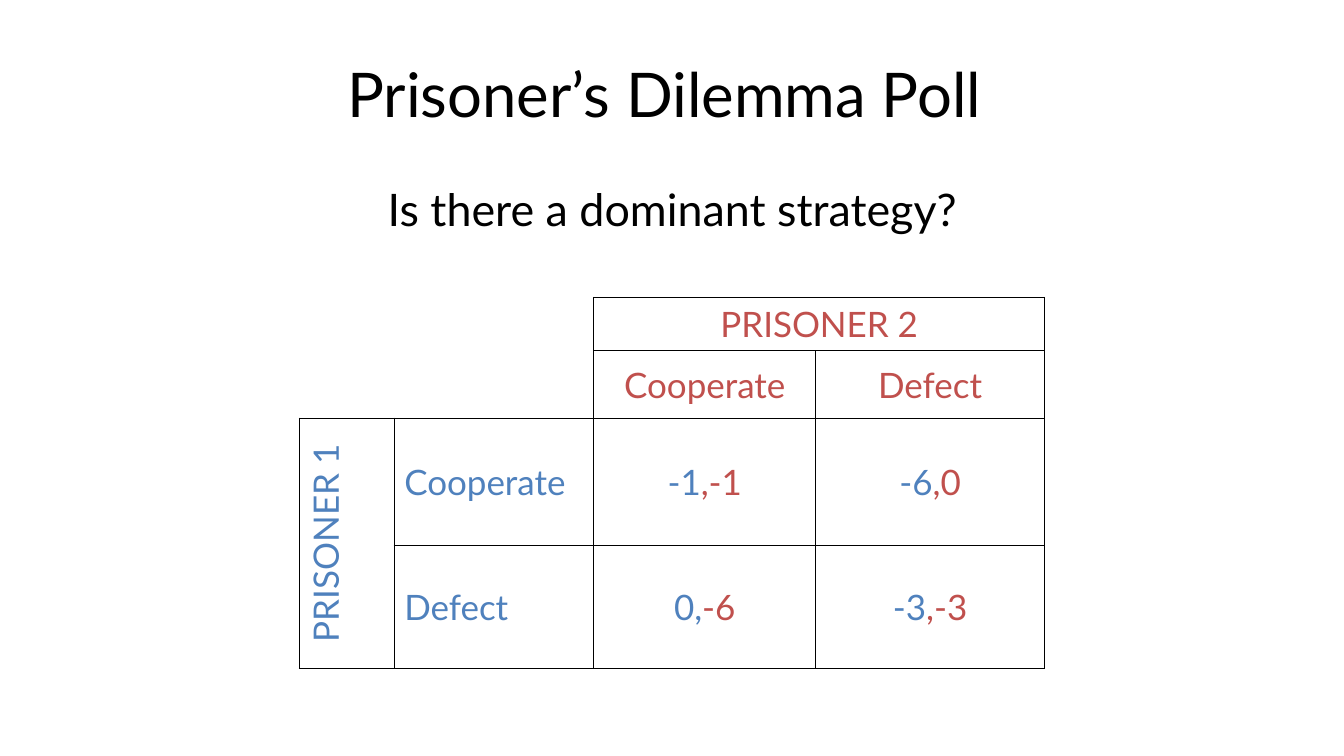
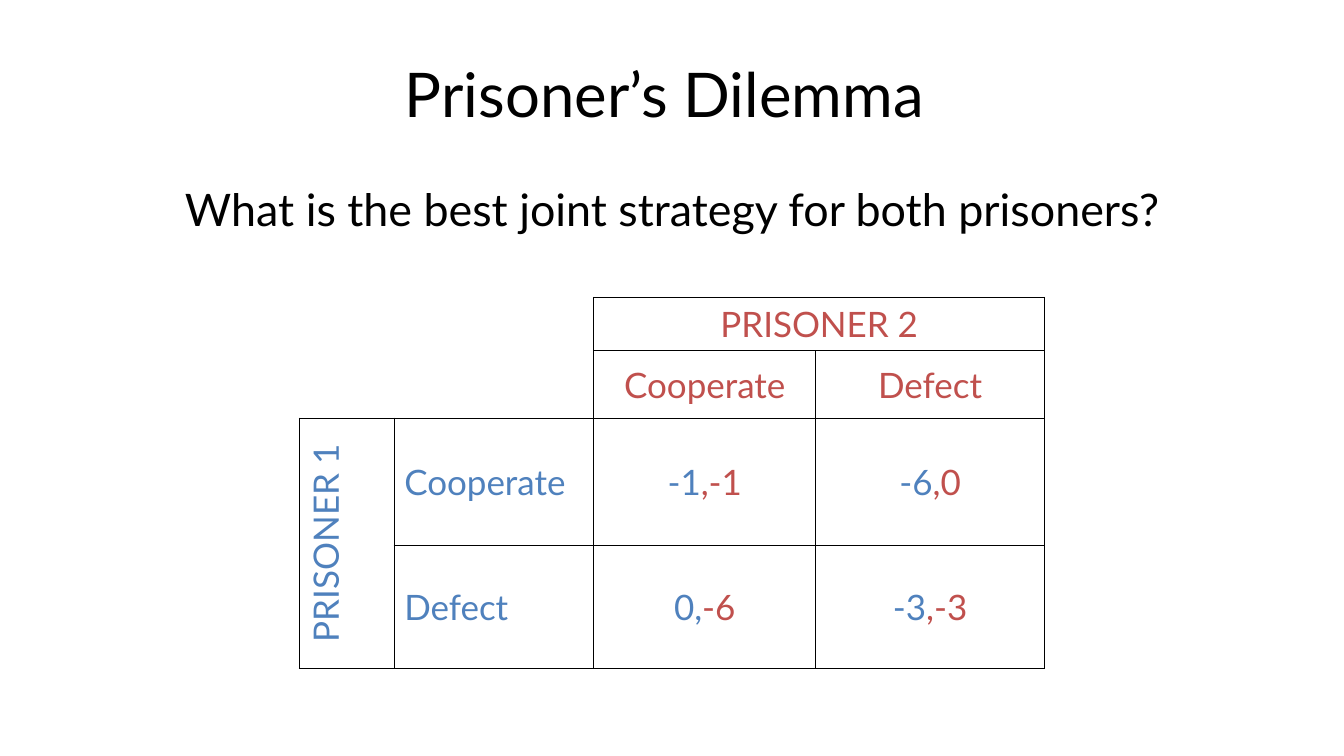
from dataclasses import dataclass

from lxml import etree
from pptx import Presentation
from pptx.dml.color import RGBColor
from pptx.enum.text import MSO_ANCHOR, PP_ALIGN
from pptx.oxml.ns import qn
from pptx.slide import Slide
from pptx.table import Table, _Cell
from pptx.text.text import TextFrame
from pptx.util import Emu, Pt

EMU_PER_PX = 9144
LEFT, CENTER = PP_ALIGN.LEFT, PP_ALIGN.CENTER
TOP, MIDDLE = MSO_ANCHOR.TOP, MSO_ANCHOR.MIDDLE

FONT = "Lato"
BLACK = "000000"
BLUE = "4F81BD"
RED = "C0504D"
PAYOFF_SIZE = 25
NO_GRID_STYLE = "{2D5ABB26-0587-4C30-8999-92F81FD0307C}"
COLUMN_WIDTHS = (94, 198, 220, 227)
ROW_HEIGHTS = (53, 67, 126, 122)
MERGES = (((0, 0), (1, 1)), ((0, 2), (0, 3)), ((2, 0), (3, 0)))


@dataclass(frozen=True)
class Piece:
    text: str
    color: str


@dataclass(frozen=True)
class Entry:
    pieces: tuple[Piece, ...] = ()
    align: PP_ALIGN = CENTER
    edges: str = "LRTB"
    upward: bool = False


@dataclass(frozen=True)
class Heading:
    top: int
    height: int
    size: int
    anchor: MSO_ANCHOR


@dataclass(frozen=True)
class PollSlide:
    title: str
    question: str


TITLE = Heading(30, 125, 44, MIDDLE)
QUESTION = Heading(175, 100, 32, TOP)


def label(text: str, color: str, align: PP_ALIGN = CENTER, upward: bool = False) -> Entry:
    return Entry((Piece(text, color),), align, upward=upward)


def payoff(first: str, second: str) -> Entry:
    return Entry((Piece(first, BLUE), Piece(second, RED)))


HIDDEN = Entry(edges="")
PAYOFFS = (
    (Entry(edges="RB"), HIDDEN, label("PRISONER 2", RED), Entry(edges="RTB")),
    (HIDDEN, HIDDEN, label("Cooperate", RED), label("Defect", RED)),
    (label("PRISONER 1", BLUE, upward=True), label("Cooperate", BLUE, LEFT),
     payoff("-1", ",-1"), payoff("-6", ",0")),
    (Entry(edges="LRB"), label("Defect", BLUE, LEFT),
     payoff("0,", "-6"), payoff("-3", ",-3")),
)

POLLS = (
    PollSlide("Prisoner’s Dilemma Poll ", "Is there a dominant strategy?"),
    PollSlide("Prisoner’s Dilemma ", "What is the best joint strategy for both prisoners?"),
)


def px(length: int) -> Emu:
    return Emu(length * EMU_PER_PX)


def rgb(color: str) -> RGBColor:
    return RGBColor.from_string(color)


def write(frame: TextFrame, pieces: tuple[Piece, ...], size: int, align: PP_ALIGN) -> None:
    paragraph = frame.paragraphs[0]
    paragraph.alignment = align
    for piece in pieces:
        run = paragraph.add_run()
        run.text = piece.text
        run.font.name = FONT
        run.font.size = Pt(size)
        run.font.color.rgb = rgb(piece.color)


def add_heading(slide: Slide, heading: Heading, text: str) -> None:
    box = slide.shapes.add_textbox(px(67), px(heading.top), px(1200), px(heading.height))
    frame = box.text_frame
    frame.word_wrap = True
    frame.vertical_anchor = heading.anchor
    write(frame, (Piece(text, BLACK),), heading.size, CENTER)


def set_borders(cell: _Cell, edges: str) -> None:
    properties = cell._tc.get_or_add_tcPr()
    for edge in edges:
        line = etree.SubElement(properties, qn(f"a:ln{edge}"), w=str(Pt(1)))
        fill = etree.SubElement(line, qn("a:solidFill"))
        etree.SubElement(fill, qn("a:srgbClr"), val=BLACK)


def fill_cell(cell: _Cell, entry: Entry) -> None:
    set_borders(cell, entry.edges)
    cell.fill.background()
    cell.vertical_anchor = MIDDLE
    if entry.upward:
        cell._tc.get_or_add_tcPr().set("vert", "vert270")
    write(cell.text_frame, entry.pieces, PAYOFF_SIZE, entry.align)


def clear_style(table: Table) -> None:
    table.first_row = False
    table.horz_banding = False
    table._tbl.tblPr.find(qn("a:tableStyleId")).text = NO_GRID_STYLE


def add_payoffs(slide: Slide) -> None:
    table = slide.shapes.add_table(
        len(ROW_HEIGHTS), len(COLUMN_WIDTHS), px(297), px(295),
        px(sum(COLUMN_WIDTHS)), px(sum(ROW_HEIGHTS)),
    ).table
    clear_style(table)
    for column, width in zip(table.columns, COLUMN_WIDTHS):
        column.width = px(width)
    for row, height in zip(table.rows, ROW_HEIGHTS):
        row.height = px(height)
    for start, end in MERGES:
        table.cell(*start).merge(table.cell(*end))
    for row_index, entries in enumerate(PAYOFFS):
        for column_index, entry in enumerate(entries):
            fill_cell(table.cell(row_index, column_index), entry)


def main() -> None:
    deck = Presentation()
    deck.slide_width, deck.slide_height = px(1333), px(750)
    blank = deck.slide_layouts[6]
    for poll in POLLS:
        slide = deck.slides.add_slide(blank)
        add_heading(slide, TITLE, poll.title)
        add_payoffs(slide)
        add_heading(slide, QUESTION, poll.question)
    deck.save("out.pptx")


if __name__ == "__main__":
    main()
